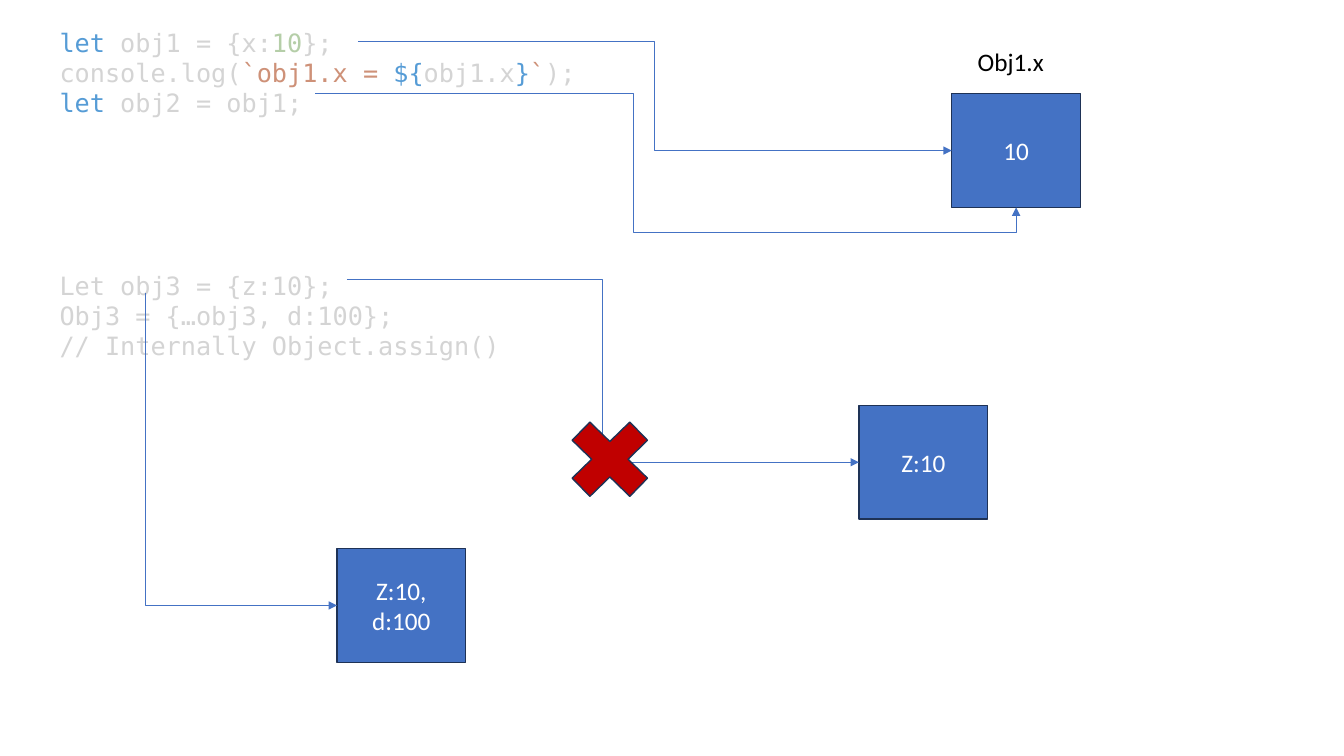
from lxml.etree import SubElement
from pptx import Presentation
from pptx.dml.color import RGBColor
from pptx.enum.shapes import MSO_CONNECTOR, MSO_SHAPE
from pptx.enum.text import MSO_ANCHOR, PP_ALIGN
from pptx.oxml.ns import qn
from pptx.util import Inches, Pt

COLUMNS, ROWS = 32, 18
BOX_SIZE = (3.07, 2.71)
LEFT, BOTTOM = 1, 2

KEYWORD, PLAIN, NUMBER, STRING = "569CD6", "D4D4D4", "B5CEA8", "CE9178"
CODE = [
    [("let", KEYWORD), (" obj1 = {x:", PLAIN), ("10", NUMBER), ("};", PLAIN)],
    [("console.log(", PLAIN), ("`obj1.x = ", STRING), ("${", KEYWORD),
     ("obj1.x", PLAIN), ("}", KEYWORD), ("`", STRING), (");", PLAIN)],
    [("let", KEYWORD), (" obj2 = obj1;", PLAIN)],
    [("Let obj3 = {z:10};", PLAIN)],
    [("Obj3 = {…obj3, d:100};", PLAIN)],
    [("// Internally Object.assign()", PLAIN)],
]
SPREAD_EXAMPLE = 3  # index of the line that opens the second example


def color(value):
    return RGBColor.from_string(value)


class Diagram:
    """Holds the style and the current slide; lengths are grid columns and rows."""

    blue, red, outline = "4472C4", "C00000", "1E3256"
    text_font, code_font, size = "Calibri", "DejaVu Sans Mono", Pt(18)

    def __init__(self, deck):
        self.column = deck.slide_width / COLUMNS
        self.row = deck.slide_height / ROWS
        self.page = deck.slides.add_slide(deck.slide_layouts[6])

    def place(self, *lengths):
        """Turn alternating columns and rows into slide units."""
        units = (self.column, self.row) * 2
        return [round(length * unit) for length, unit in zip(lengths, units)]

    def add_span(self, para, text, tint, font):
        span = para.add_run()
        span.text = text
        for name, value in {"name": font, "size": self.size}.items():
            setattr(span.font, name, value)
        span.font.color.rgb = color(tint)

    def code(self, lines, *area):
        frame = self.page.shapes.add_textbox(*self.place(*area)).text_frame
        frame.word_wrap = True
        for index, line in enumerate(lines):
            para = frame.add_paragraph() if index else frame.paragraphs[0]
            if index == SPREAD_EXAMPLE:
                para.space_before = Pt(108.6)
            for text, tint in line:
                self.add_span(para, text, tint, self.code_font)

    def label(self, text, *area):
        frame = self.page.shapes.add_textbox(*self.place(*area)).text_frame
        frame.word_wrap = True
        frame.paragraphs[0].alignment = PP_ALIGN.CENTER
        self.add_span(frame.paragraphs[0], text, "000000", self.text_font)

    def shape(self, kind, fill, *area):
        shape = self.page.shapes.add_shape(kind, *self.place(*area))
        shape.shadow.inherit = False
        shape.fill.solid()
        shape.fill.fore_color.rgb = color(fill)
        shape.line.color.rgb = color(self.outline)
        shape.line.width = Pt(1)
        return shape

    def value_box(self, text, left, top):
        box = self.shape(MSO_SHAPE.RECTANGLE, self.blue, left, top, *BOX_SIZE)
        frame = box.text_frame
        for name, value in {"word_wrap": True,
                            "vertical_anchor": MSO_ANCHOR.MIDDLE}.items():
            setattr(frame, name, value)
        frame.paragraphs[0].alignment = PP_ALIGN.CENTER
        self.add_span(frame.paragraphs[0], text, "FFFFFF", self.text_font)
        return box

    def cross(self, *area):
        self.shape(MSO_SHAPE.MATH_MULTIPLY, self.red, *area)

    def arrow(self, left, top, box, side):
        start = self.place(left, top)
        arrow = self.page.shapes.add_connector(MSO_CONNECTOR.ELBOW, *start, *start)
        arrow.end_connect(box, side)
        arrow.line.color.rgb = color(self.blue)
        arrow.line.width = Pt(0.5)
        properties = arrow.element.spPr
        SubElement(properties.find(qn("a:ln")), qn("a:tailEnd"), type="triangle")
        SubElement(properties, qn("a:effectLst"))
        return arrow

    def loop_below(self, arrow, **adjustments):
        """Route the arrow under its target; adjustments are 1/100000 of its size."""
        geometry = arrow.element.spPr.find(qn("a:prstGeom"))
        geometry.set("prst", "bentConnector4")
        guides = geometry.find(qn("a:avLst"))
        for name, value in adjustments.items():
            SubElement(guides, qn("a:gd"), name=name, fmla=f"val {value}")

    def drop_then_turn(self, arrow):
        """Give the arrow one bend, going down first and then right."""
        properties = arrow.element.spPr
        properties.find(qn("a:prstGeom")).set("prst", "bentConnector2")
        width, height = arrow.width, arrow.height
        arrow.left += (width - height) // 2
        arrow.top += (height - width) // 2
        arrow.width, arrow.height = height, width
        frame = properties.find(qn("a:xfrm"))
        for name, value in {"rot": "16200000", "flipH": "1"}.items():
            frame.set(name, value)


def main():
    deck = Presentation()
    deck.slide_width, deck.slide_height = Inches(13.33), Inches(7.5)
    diagram = Diagram(deck)

    diagram.code(CODE, 1.18, 0.53, 14.18, 8.98)
    shared = diagram.value_box("10", 22.66, 2.23)
    diagram.label("Obj1.x", 22.66, 0.98, 2.81, 0.98)
    diagram.arrow(8.52, 0.98, shared, LEFT)
    second_reference = diagram.arrow(7.51, 2.23, shared, BOTTOM)
    diagram.loop_below(second_reference, adj1=45400, adj2=122200)

    dropped = diagram.value_box("Z:10", 20.45, 9.65)
    diagram.arrow(8.26, 6.65, dropped, LEFT)
    merged = diagram.value_box("Z:10, d:100", 8.02, 13.06)
    diagram.drop_then_turn(diagram.arrow(3.46, 6.98, merged, LEFT))
    diagram.cross(13.2, 9.65, 2.64, 2.57)

    deck.save("out.pptx")


if __name__ == "__main__":
    main()
